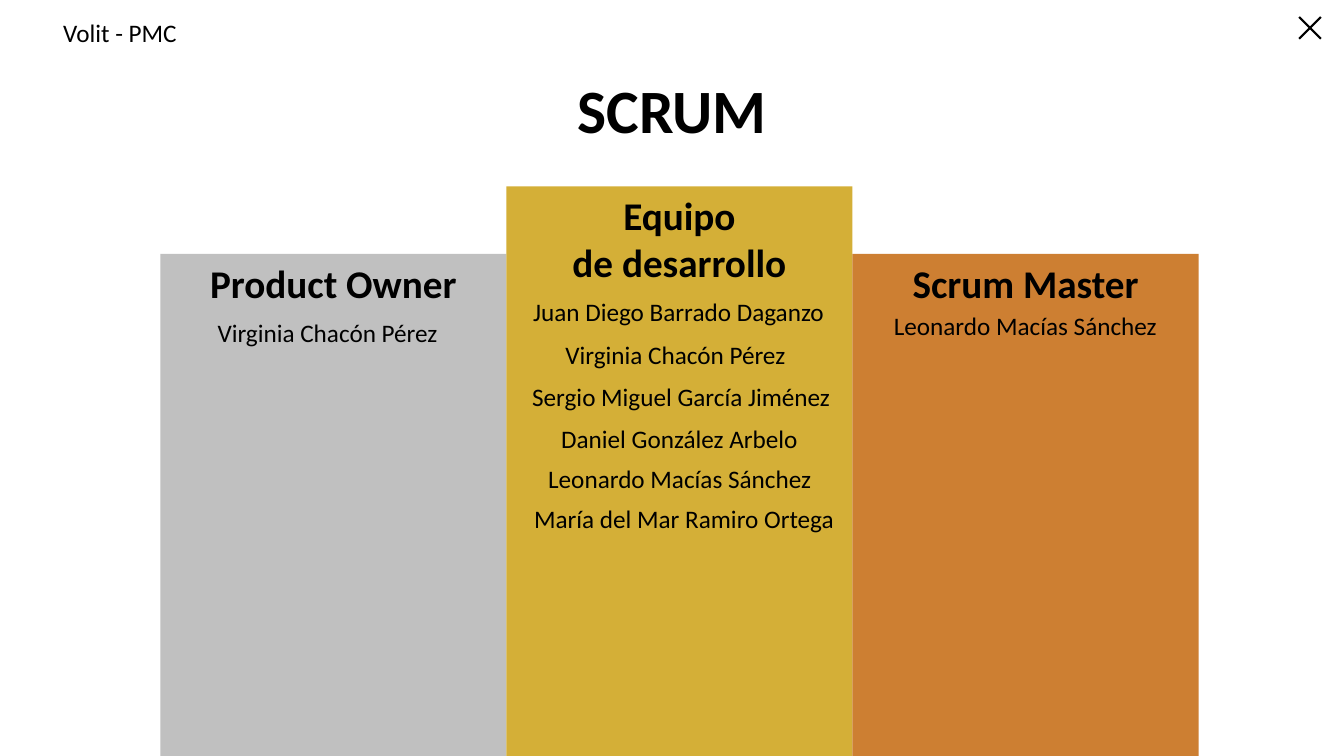
import pptx
import pptx.util
import pptx.dml.color
import pptx.enum.shapes
import pptx.enum.text
import pptx.oxml.ns
import lxml.etree

Pt = pptx.util.Pt
ALIGN = pptx.enum.text.PP_ALIGN
ANCHOR = pptx.enum.text.MSO_ANCHOR
COLORS = {"text": "000000", "silver": "C0C0C0", "gold": "D4AF37", "bronze": "CD7F32"}
FONT = "Calibri"
SLIDE_WIDTH, SLIDE_HEIGHT = 960, 540
COLUMN_LEFT, COLUMN_WIDTH = 114.5, 247.2
HEADING_WIDTH = 204.5
NAME_HEIGHT = 29

ROLES = [
    ("Product Owner", "silver", 181.4, [("Virginia Chacón Pérez", 33.8, 41.8, 183)]),
    ("Equipo\nde desarrollo", "gold", 133.2, [
        ("Juan Diego Barrado Daganzo", 12, 74.9, 224),
        ("Virginia Chacón Pérez", 35, 105.8, 178),
        ("Sergio Miguel García Jiménez", 11.3, 135.4, 234),
        ("Daniel González Arbelo", 32.1, 165.6, 204.5),
        ("Leonardo Macías Sánchez", 22.8, 194.4, 235.4),
        ("María del Mar Ramiro Ortega", 12.7, 222.5, 232),
    ]),
    ("Scrum Master", "bronze", 181.4, [("Leonardo Macías Sánchez", 22.5, 36.7, 235.4)]),
]


def rgb(name):
    return pptx.dml.color.RGBColor.from_string(COLORS[name])


def write(frame, text, size, bold=False, align=ALIGN.LEFT):
    frame.word_wrap = True
    frame.text = text
    for paragraph in frame.paragraphs:
        paragraph.alignment = align
        for run in paragraph.runs:
            run.font.name = FONT
            run.font.size = Pt(size)
            run.font.bold = bold
            run.font.color.rgb = rgb("text")


def add_label(slide, text, left, top, width, height, size=18, bold=False, align=ALIGN.LEFT):
    label = slide.shapes.add_textbox(Pt(left), Pt(top), Pt(width), Pt(height))
    write(label.text_frame, text, size, bold, align)


def add_title(slide, left, top, width, height):
    title = slide.shapes.title
    title.left, title.top, title.width, title.height = Pt(left), Pt(top), Pt(width), Pt(height)
    write(title.text_frame, "SCRUM", 44, True, ALIGN.CENTER)
    title.text_frame.vertical_anchor = ANCHOR.MIDDLE
    title.text_frame.paragraphs[0].line_spacing = 0.9


def add_close_cross(slide, left, top, side):
    cross = slide.shapes.add_group_shape()
    for start, end in ((top, top + side), (top + side, top)):
        stroke = cross.shapes.add_connector(
            pptx.enum.shapes.MSO_CONNECTOR.STRAIGHT,
            Pt(left), Pt(start), Pt(left + side), Pt(end))
        stroke.line.color.rgb = rgb("text")
        stroke.line.width = Pt(1.5)
        properties = stroke.line._get_or_add_ln().getparent()
        lxml.etree.SubElement(properties, pptx.oxml.ns.qn("a:effectLst"))


def add_column(slide, color, left, top, width, height):
    column = slide.shapes.add_shape(
        pptx.enum.shapes.MSO_SHAPE.RECTANGLE, Pt(left), Pt(top), Pt(width), Pt(height))
    column.shadow.inherit = False
    column.fill.solid()
    column.fill.fore_color.rgb = rgb(color)
    column.line.fill.background()


def add_role(slide, role, left, width):
    heading, color, top, members = role
    add_column(slide, color, left, top, width, SLIDE_HEIGHT - top)
    heading_height = 41 if "\n" not in heading else 75
    add_label(slide, heading, left + (width - HEADING_WIDTH) / 2, top,
              HEADING_WIDTH, heading_height, 28, True, ALIGN.CENTER)
    for member, indent, drop, member_width in members:
        add_label(slide, member, left + indent, top + drop, member_width, NAME_HEIGHT)


def main():
    presentation = pptx.Presentation()
    presentation.slide_width, presentation.slide_height = Pt(SLIDE_WIDTH), Pt(SLIDE_HEIGHT)
    slide = presentation.slides.add_slide(presentation.slide_layouts[5])
    add_title(slide, 66, 28.8, 828, 104.4)
    add_label(slide, "Volit - PMC", 38, 8.8, 104.4, NAME_HEIGHT)
    add_close_cross(slide, 928, 12.2, 15.5)
    for index, role in enumerate(ROLES):
        add_role(slide, role, COLUMN_LEFT + index * COLUMN_WIDTH, COLUMN_WIDTH)
    presentation.save("out.pptx")


if __name__ == "__main__":
    main()
